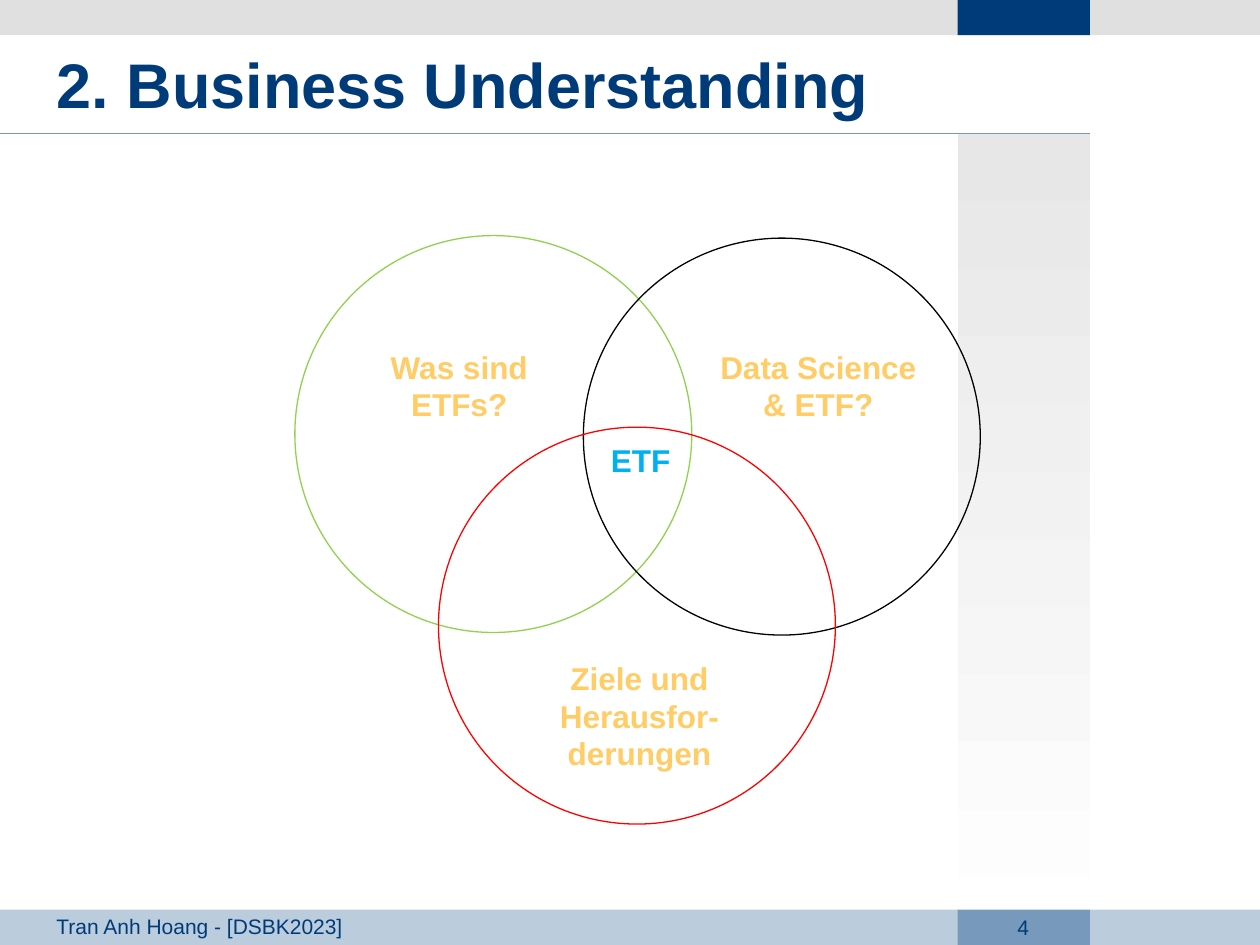
import dataclasses

import pptx
import pptx.dml.color
import pptx.enum.shapes
import pptx.enum.text
import pptx.oxml.ns
import pptx.util
from lxml import etree

Inches = pptx.util.Inches
ALIGN = pptx.enum.text.PP_ALIGN
ANCHOR = pptx.enum.text.MSO_ANCHOR
SHAPE = pptx.enum.shapes.MSO_SHAPE


@dataclasses.dataclass(frozen=True)
class Theme:
    """Colours, type sizes and line widths of the slide."""
    font: str = "Arial"
    navy: str = "003B79"
    steel: str = "7799BB"
    footer_band: str = "BBCCDD"
    header_band: str = "E0E0E0"
    column_top: str = "E7E7E7"
    column_bottom: str = "FFFFFF"
    green: str = "92D050"
    black: str = "000000"
    red: str = "FF0000"
    label: str = "FFCC66"
    center: str = "00B0F0"
    title_size: int = 36
    label_size: int = 18
    footer_size: int = 12
    rule_width: float = 1
    circle_width: float = 0.75


THEME = Theme()
WIDTH, HEIGHT = 10, 7.5
BAND = 0.28
COLUMN_LEFT, COLUMN_WIDTH = 7.6, 1.05
RULE_TOP = 1.06
DIAMETER = 3.15


def color(value):
    """Turn a hex string into a colour."""
    return pptx.dml.color.RGBColor.from_string(value)


def add_run(paragraph, text, size, font_color, bold=False):
    """Add one formatted run to a paragraph."""
    run = paragraph.add_run()
    run.text = text
    run.font.name = THEME.font
    run.font.size = pptx.util.Pt(size)
    run.font.bold = bold
    run.font.color.rgb = color(font_color)


def add_block(slide, left, top, width, height, fill):
    """Add a borderless rectangle; a pair of colours gives a downward gradient."""
    block = slide.shapes.add_shape(
        SHAPE.RECTANGLE, Inches(left), Inches(top), Inches(width), Inches(height))
    block.shadow.inherit = False
    block.line.fill.background()
    if isinstance(fill, tuple):
        block.fill.gradient()
        block.fill.gradient_angle = 270
        for stop, value in zip(block.fill.gradient_stops, fill):
            stop.color.rgb = color(value)
    else:
        block.fill.solid()
        block.fill.fore_color.rgb = color(fill)


def add_rule(slide, left, right, top):
    """Add the horizontal line below the title."""
    rule = slide.shapes.add_connector(
        pptx.enum.shapes.MSO_CONNECTOR.STRAIGHT,
        Inches(left), Inches(top), Inches(right), Inches(top))
    rule.line.color.rgb = color(THEME.steel)
    rule.line.width = pptx.util.Pt(THEME.rule_width)
    properties = rule._element.spPr
    etree.SubElement(properties, pptx.oxml.ns.qn("a:effectLst"))


def add_circle(slide, left, top, line_color):
    """Add one outlined circle of the Venn diagram."""
    circle = slide.shapes.add_shape(
        SHAPE.OVAL, Inches(left), Inches(top), Inches(DIAMETER), Inches(DIAMETER))
    circle.shadow.inherit = False
    circle.fill.background()
    circle.line.color.rgb = color(line_color)
    circle.line.width = pptx.util.Pt(THEME.circle_width)


def add_text(slide, text, left, top, width, height, size, font_color,
             bold=False, align=ALIGN.CENTER):
    """Add a wrapping text box with one paragraph."""
    box = slide.shapes.add_textbox(
        Inches(left), Inches(top), Inches(width), Inches(height))
    box.text_frame.word_wrap = True
    paragraph = box.text_frame.paragraphs[0]
    paragraph.alignment = align
    add_run(paragraph, text, size, font_color, bold)


def set_title(slide, text):
    """Place and format the title placeholder."""
    title = slide.shapes.title
    title.left, title.top = Inches(0.35), Inches(0.39)
    title.width, title.height = Inches(7.24), Inches(0.55)
    frame = title.text_frame
    frame.word_wrap = True
    frame.auto_size = pptx.enum.text.MSO_AUTO_SIZE.NONE
    frame.vertical_anchor = ANCHOR.MIDDLE
    paragraph = frame.paragraphs[0]
    paragraph.alignment = ALIGN.LEFT
    add_run(paragraph, text, THEME.title_size, THEME.navy, bold=True)


def add_frame(slide):
    """Add the bands, the shaded column, the rule and the footer texts."""
    footer_top = HEIGHT - BAND
    add_block(slide, 0, footer_top, WIDTH, BAND, THEME.footer_band)
    add_block(slide, 0, 0, WIDTH, BAND, THEME.header_band)
    add_block(slide, COLUMN_LEFT, 0, COLUMN_WIDTH, BAND, THEME.navy)
    add_block(slide, COLUMN_LEFT, RULE_TOP, COLUMN_WIDTH, HEIGHT - RULE_TOP,
              (THEME.column_top, THEME.column_bottom))
    add_rule(slide, 0, COLUMN_LEFT + COLUMN_WIDTH, RULE_TOP)
    add_block(slide, COLUMN_LEFT, footer_top, COLUMN_WIDTH, BAND, THEME.steel)
    add_text(slide, "Tran Anh Hoang - [DSBK2023]", 0.35, 7.2, 5.83, 0.3,
             THEME.footer_size, THEME.navy, align=ALIGN.LEFT)
    add_text(slide, "4", 7.59, 7.21, 1.06, 0.3, THEME.footer_size, THEME.navy)


def add_venn(slide):
    """Add the three circles and their labels."""
    circles = [
        (2.34, 1.87, THEME.green),
        (4.63, 1.89, THEME.black),
        (3.48, 3.39, THEME.red),
    ]
    labels = [
        ("ETF", 4.65, 3.45, 0.87, 0.4, THEME.center),
        ("Was sind ETFs?", 2.86, 2.71, 1.57, 0.71, THEME.label),
        ("Data Science & ETF?", 5.56, 2.71, 1.87, 0.71, THEME.label),
        ("Ziele und Herausfor-derungen", 4.29, 5.18, 1.57, 1.01, THEME.label),
    ]
    for left, top, line_color in circles:
        add_circle(slide, left, top, line_color)
    for text, left, top, width, height, font_color in labels:
        add_text(slide, text, left, top, width, height,
                 THEME.label_size, font_color, bold=True)


def main():
    """Build the slide and save it."""
    presentation = pptx.Presentation()
    presentation.slide_width = Inches(WIDTH)
    presentation.slide_height = Inches(HEIGHT)
    slide = presentation.slides.add_slide(presentation.slide_layouts[5])
    add_frame(slide)
    set_title(slide, "2. Business Understanding")
    add_venn(slide)
    presentation.save("out.pptx")


main()
